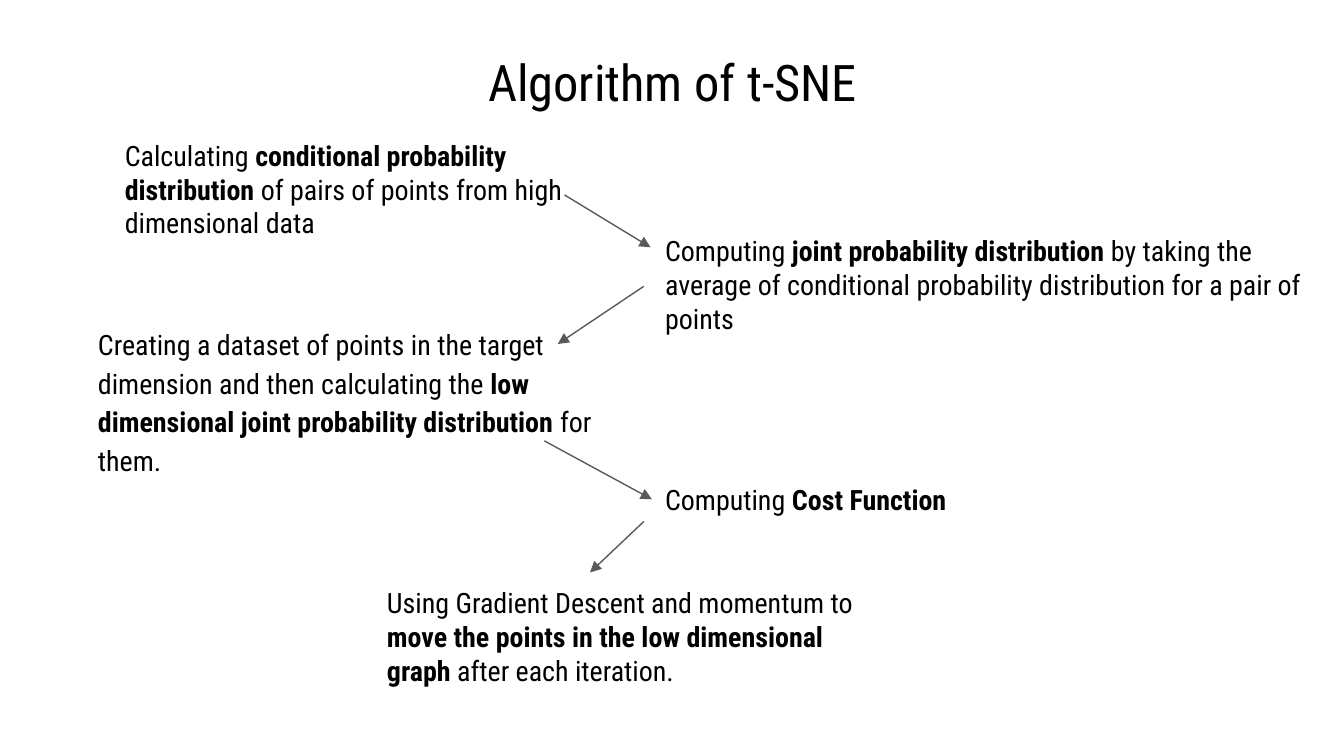
from typing import NamedTuple, Optional

from lxml.etree import SubElement
from pptx import Presentation
from pptx.dml.color import RGBColor
from pptx.enum.shapes import MSO_CONNECTOR as Conn
from pptx.enum.text import MSO_ANCHOR as Anchor, MSO_AUTO_SIZE as Fit, PP_ALIGN as Align
from pptx.oxml.ns import qn
from pptx.util import Pt

FONT = "Roboto Condensed"
COLORS = {"text": "000000", "line": "595959"}
INSET = 7.2
LEFT = 1  # connection site on a rectangle


class Step(NamedTuple):
    x: float
    y: float
    w: float
    h: float
    plain: str
    bold: str
    rest: str = ""
    gap: Optional[float] = None


class Arrow(NamedTuple):
    x1: float
    y1: float
    x2: float
    y2: float
    goal: Optional[int] = None  # step joined at its left side


STEPS = [
    Step(59.8, 67, 261.4, 69.1, "Calculating ", "conditional probability distribution",
         " of pairs of points from high dimensional data"),
    Step(349.2, 118.1, 359.3, 69.1, "Computing", " joint probability distribution",
         " by taking the average of conditional probability distribution for a pair of points"),
    Step(45.4, 165.6, 290.2, 95.8,
         "Creating a dataset of points in the target dimension and then calculating the ",
         "low dimensional joint probability distribution", " for them.", 1.15),
    Step(349.2, 251.3, 181.4, 32.4, "Computing ", "Cost Function"),
    Step(200.2, 306.7, 282.2, 69.1, "Using Gradient Descent and momentum to ",
         "move the points in the low dimensional graph", " after each iteration."),
]

ARROWS = [
    Arrow(302.4, 104.4, 348.5, 132.5),
    Arrow(344.9, 153.4, 298.8, 184.3),
    Arrow(291.6, 236.2, 349.2, 267.5, goal=3),
    Arrow(344.9, 279.4, 316.1, 306.7),
]


def color(name: str) -> RGBColor:
    return RGBColor.from_string(COLORS[name])


def set_frame(frame) -> None:
    frame.word_wrap = True
    frame.auto_size = Fit.SHAPE_TO_FIT_TEXT
    frame.vertical_anchor = Anchor.TOP
    frame.margin_left = frame.margin_right = Pt(INSET)
    frame.margin_top = frame.margin_bottom = Pt(INSET)


def set_font(para, size: float) -> None:
    font = para.font
    font.name, font.size = FONT, Pt(size)
    font.color.rgb = color("text")


def add_title(slide, text: str) -> None:
    title = slide.shapes.title
    title.left, title.top, title.width, title.height = map(Pt, (92.2, 20.2, 536.4, 47.5))
    frame = title.text_frame
    set_frame(frame)
    frame.text = text
    para = frame.paragraphs[0]
    para.alignment = Align.CENTER
    set_font(para, 27)


def add_step(slide, step: Step):
    box = slide.shapes.add_textbox(*map(Pt, step[:4]))
    set_frame(box.text_frame)
    para = box.text_frame.paragraphs[0]
    if step.gap:
        para.line_spacing = step.gap
    set_font(para, 15)
    for text, bold in ((step.plain, False), (step.bold, True), (step.rest, False)):
        if text:
            run = para.add_run()
            run.text = text
            if bold:
                run.font.bold = True
    return box


def add_arrow(slide, arrow: Arrow, boxes: list) -> None:
    line = slide.shapes.add_connector(Conn.STRAIGHT, *map(Pt, arrow[:4]))
    if arrow.goal is not None:
        line.end_connect(boxes[arrow.goal], LEFT)
    line.line.color.rgb = color("line")
    line.line.width = Pt(0.75)
    SubElement(line.line._get_or_add_ln(), qn("a:tailEnd"), type="triangle")
    SubElement(line._element.spPr, qn("a:effectLst"))


def main() -> None:
    deck = Presentation()
    deck.slide_width, deck.slide_height = Pt(720), Pt(405)
    slide = deck.slides.add_slide(deck.slide_layouts[5])

    # Title
    add_title(slide, "Algorithm of t-SNE")

    # Steps and the arrows between them
    boxes = [add_step(slide, step) for step in STEPS]
    for arrow in ARROWS:
        add_arrow(slide, arrow, boxes)

    deck.save("out.pptx")


if __name__ == "__main__":
    main()
